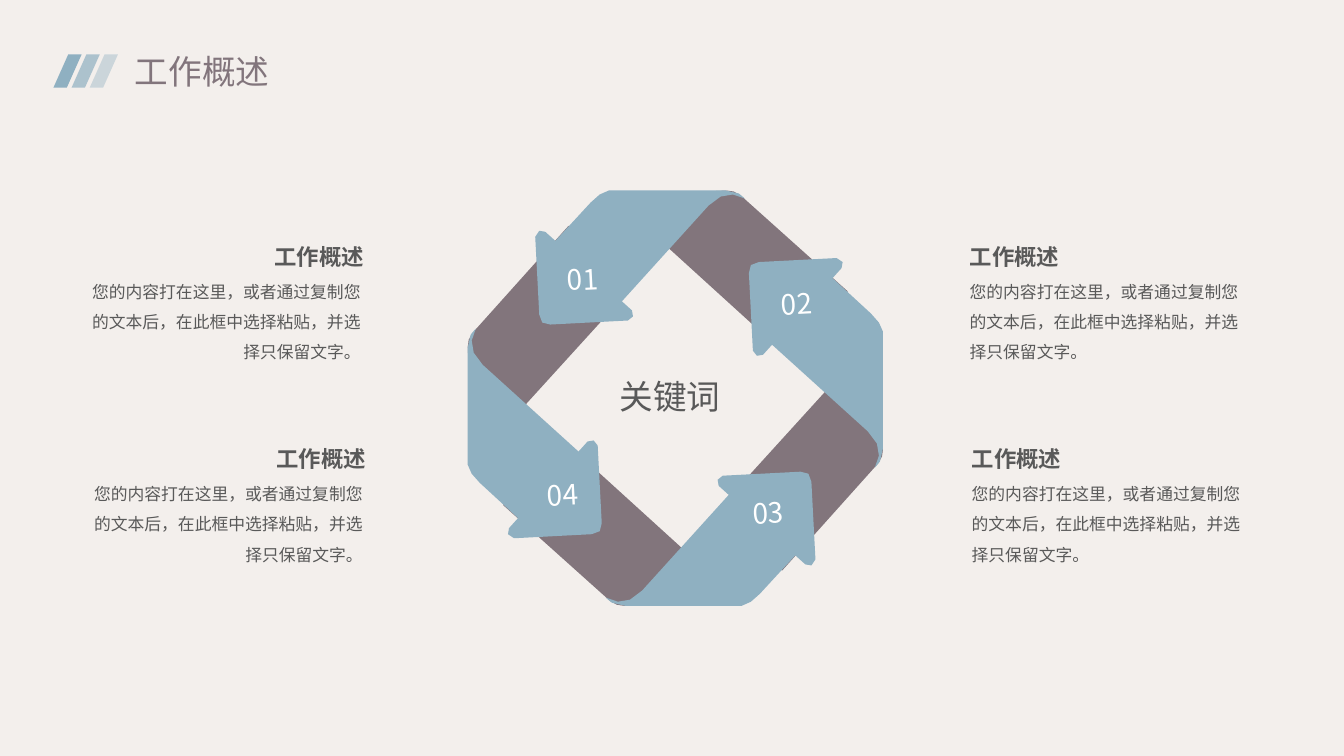
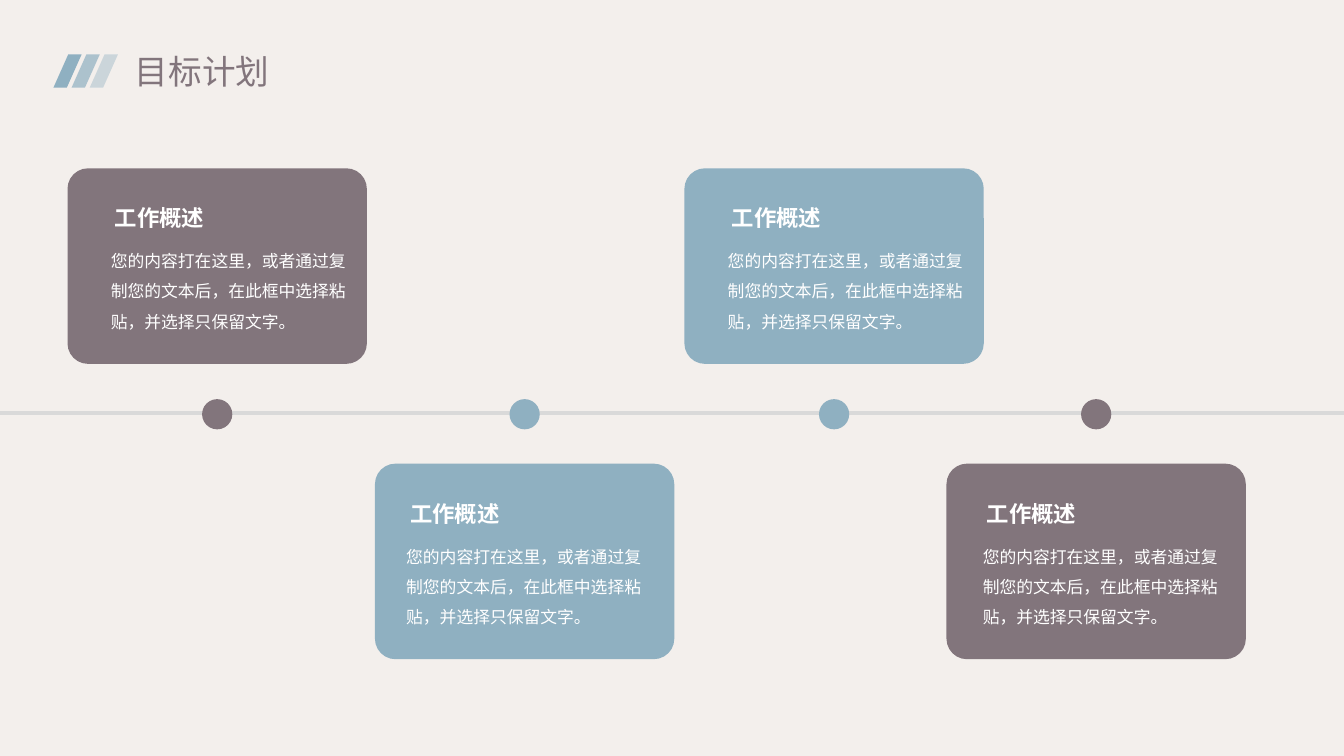
import pptx
import pptx.dml.color
import pptx.enum.shapes
import pptx.enum.text
import pptx.oxml
import pptx.oxml.ns
import pptx.util
from pptx.util import Inches

FONT = "Noto Sans CJK SC"
PAPER, MAUVE, BLUE = "F3EFEC", "82757C", "8FB0C1"
INK, WHITE, RULE = "595959", "FFFFFF", "D9D9D9"
HEADING = "工作概述"
BODY = "您的内容打在这里，或者通过复制您的文本后，在此框中选择粘贴，并选择只保留文字。"

SHAPE = pptx.enum.shapes.MSO_SHAPE
ALIGN = pptx.enum.text.PP_ALIGN
LEFT, RIGHT, CENTER = ALIGN.LEFT, ALIGN.RIGHT, ALIGN.CENTER

# Outlines of one quarter of the ring.
RING_CENTER = (6.7, 3.95)
BAND = [(7.21, 1.89), (6.06, 1.94), (7.82, 3.54), (8.41, 2.89), (7.35, 1.94),
        (7.28, 1.9)]
ARROW = [
    (6.04, 1.89), (5.95, 1.93), (5.86, 2.01), (5.51, 2.39), (5.41, 2.3),
    (5.35, 2.29), (5.31, 2.35), (5.35, 3.12), (5.38, 3.2), (5.46, 3.22),
    (6.23, 3.18), (6.28, 3.14), (6.27, 3.08), (6.17, 2.99), (7.03, 2.04),
    (7.15, 1.95), (7.27, 1.93), (7.39, 1.97), (7.33, 1.92), (7.2, 1.89),
]


def rgb(color):
    return pptx.dml.color.RGBColor.from_string(color)


def paint(shape, color, opacity=100):
    """Give a flat fill without outline or shadow."""
    shape.shadow.inherit = False
    shape.fill.solid()
    shape.fill.fore_color.rgb = rgb(color)
    shape.line.fill.background()
    if opacity < 100:
        swatch = shape.fill._xPr.find(".//" + pptx.oxml.ns.qn("a:srgbClr"))
        alpha = pptx.oxml.parse_xml(
            f'<a:alpha {pptx.oxml.ns.nsdecls("a")} val="{opacity * 1000}"/>')
        swatch.append(alpha)


def add_preset(shapes, preset, left, top, width, height, color,
               adjust=None, opacity=100):
    shape = shapes.add_shape(preset, Inches(left), Inches(top),
                             Inches(width), Inches(height))
    if adjust is not None:
        shape.adjustments[0] = adjust
    paint(shape, color, opacity)


def add_text(slide, text, left, top, width, height, *, size, color, bold=False,
             align=LEFT, spacing=None, wrap=True, inset=0, rotation=0):
    box = slide.shapes.add_textbox(Inches(left), Inches(top),
                                   Inches(width), Inches(height))
    box.rotation = rotation
    frame = box.text_frame
    frame.word_wrap = wrap
    frame.auto_size = pptx.enum.text.MSO_AUTO_SIZE.SHAPE_TO_FIT_TEXT
    frame.margin_left = frame.margin_right = Inches(inset)
    frame.margin_top = frame.margin_bottom = Inches(inset / 2)
    paragraph = frame.paragraphs[0]
    paragraph.alignment = align
    if spacing:
        paragraph.line_spacing = spacing
    run = paragraph.add_run()
    run.text = text
    run.font.size = pptx.util.Pt(size)
    run.font.bold = bold
    run.font.name = FONT
    run.font.color.rgb = rgb(color)
    east_asian = pptx.oxml.parse_xml(
        f'<a:ea {pptx.oxml.ns.nsdecls("a")} typeface="{FONT}"/>')
    run.font._element.append(east_asian)


def add_heading(slide, left, top, color, align=LEFT):
    add_text(slide, HEADING, left, top, 1.09, 0.27, size=16, color=color,
             bold=True, align=align)


def add_body(slide, left, top, width, height, color, align=LEFT):
    add_text(slide, BODY, left, top, width, height, size=12, color=color,
             align=align, spacing=1.5)


def add_titled_slide(prs, title):
    slide = prs.slides.add_slide(prs.slide_layouts[6])
    stripes = slide.shapes.add_group_shape()
    for i, opacity in enumerate((100, 70, 40)):
        add_preset(stripes.shapes, SHAPE.PARALLELOGRAM, 0.53 + 0.18 * i, 0.54,
                   0.28, 0.33, BLUE, adjust=0.525, opacity=opacity)
    add_text(slide, title, 1.24, 0.46, 1.55, 0.5, size=24, color=MAUVE,
             wrap=False, inset=0.1)
    return slide


def quarter_turn(points):
    """Turn points clockwise by 90 degrees about the ring's centre."""
    cx, cy = RING_CENTER
    return [(cx + cy - y, cy + x - cx) for x, y in points]


def add_ring_parts(slide, outline, color):
    points = outline
    for _ in range(4):
        corners = [(Inches(x), Inches(y)) for x, y in points]
        builder = slide.shapes.build_freeform(*corners[0])
        builder.add_line_segments(corners[1:], close=True)
        paint(builder.convert_to_shape(), color)
        points = quarter_turn(points)


def build_overview(prs):
    slide = add_titled_slide(prs, "工作概述")
    add_ring_parts(slide, BAND, MAUVE)
    add_ring_parts(slide, ARROW, BLUE)
    numbers = (("01", 5.53, 2.55), ("02", 7.65, 2.79),
               ("03", 7.37, 4.87), ("04", 5.33, 4.69))
    for number, left, top in numbers:
        add_text(slide, number, left, top, 0.53, 0.44, size=20, color=WHITE,
                 wrap=False, inset=0.1, rotation=-2.9)
    add_text(slide, "关键词", 6.1, 3.73, 1.09, 0.4, size=24, color=INK,
             align=CENTER)
    for top, shift in ((2.41, 0), (4.42, 0.02)):
        for heading_left, body_left, align in ((2.52, 0.91, RIGHT),
                                               (9.62, 9.62, LEFT)):
            add_heading(slide, heading_left + shift, top, INK, align)
            add_body(slide, body_left + shift, top + 0.28, 2.67, 0.91, INK,
                     align)


def add_milestone(slide, left, top, indent, color):
    """Add a card and the dot that marks its middle on the timeline."""
    width, dot = 2.97, 0.3
    add_preset(slide.shapes, SHAPE.OVAL, left + (width - dot) / 2, 3.96,
               dot, dot, color)
    add_preset(slide.shapes, SHAPE.ROUNDED_RECTANGLE, left, top, width, 1.94,
               color, adjust=0.105)
    add_heading(slide, left + indent, top + 0.36, WHITE)
    add_body(slide, left + indent - 0.04, top + 0.72, 2.4, 0.87, WHITE)


def build_plan(prs):
    slide = add_titled_slide(prs, "目标计划")
    timeline = slide.shapes.add_connector(
        pptx.enum.shapes.MSO_CONNECTOR.STRAIGHT,
        0, Inches(4.1), prs.slide_width, Inches(4.1))
    timeline.line.color.rgb = rgb(RULE)
    timeline.line.width = pptx.util.Pt(3)
    timeline._element.spPr.append(pptx.oxml.parse_xml(
        f'<a:effectLst {pptx.oxml.ns.nsdecls("a")}/>'))
    upper, lower = 1.67, 4.6
    for milestone in ((0.67, upper, 0.47, MAUVE), (3.72, lower, 0.35, BLUE),
                      (6.79, upper, 0.47, BLUE), (9.39, lower, 0.4, MAUVE)):
        add_milestone(slide, *milestone)


def main():
    prs = pptx.Presentation()
    prs.slide_width, prs.slide_height = Inches(40 / 3), Inches(7.5)
    backdrop = prs.slide_master.background.fill
    backdrop.solid()
    backdrop.fore_color.rgb = rgb(PAPER)
    build_overview(prs)
    build_plan(prs)
    prs.save("out.pptx")


if __name__ == "__main__":
    main()
